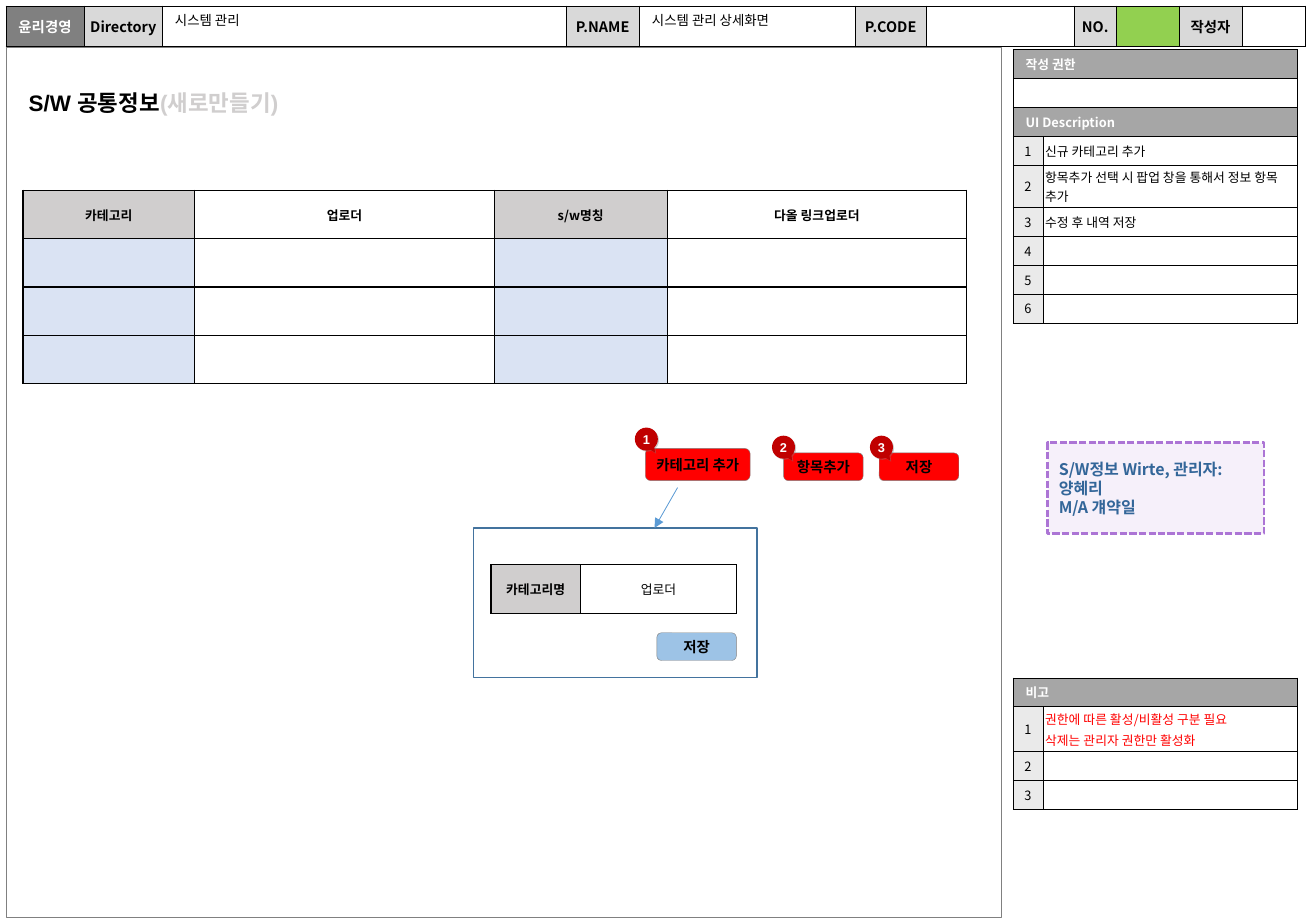
from lxml.etree import SubElement
from pptx import Presentation
from pptx.dml.color import RGBColor
from pptx.enum.dml import MSO_LINE_DASH_STYLE as Dash
from pptx.enum.shapes import MSO_CONNECTOR, MSO_SHAPE as Shape
from pptx.enum.text import MSO_ANCHOR as Anchor, MSO_AUTO_SIZE as AutoSize, PP_ALIGN as Align
from pptx.oxml import parse_xml
from pptx.oxml.ns import nsdecls, qn
from pptx.util import Inches, Pt

BLACK = RGBColor(0x00, 0x00, 0x00)
WHITE = RGBColor(0xFF, 0xFF, 0xFF)
GRAY = RGBColor(0x80, 0x80, 0x80)
BAND_GRAY = RGBColor(0xA6, 0xA6, 0xA6)
LABEL_GRAY = RGBColor(0xD9, 0xD9, 0xD9)
NUMBER_GRAY = RGBColor(0xEA, 0xEA, 0xEA)
HEAD_GRAY = RGBColor(0xD0, 0xCE, 0xCE)
GREEN = RGBColor(0x92, 0xD0, 0x50)
PALE_BLUE = RGBColor(0xDA, 0xE3, 0xF3)
BUTTON_BLUE = RGBColor(0x9D, 0xC3, 0xE6)
POPUP_BLUE = RGBColor(0x43, 0x73, 0x9E)
ARROW_BLUE = RGBColor(0x5B, 0x9B, 0xD5)
NOTE_BLUE = RGBColor(0x33, 0x66, 0x99)
PURPLE = RGBColor(0xAC, 0x75, 0xD5)
RED = RGBColor(0xFF, 0x00, 0x00)
DARK_RED = RGBColor(0xC0, 0x00, 0x00)

KOREAN, LATIN = "Noto Sans CJK KR", "Arial"
WIDTH, HEIGHT = 11.42, 7.99
ROW, SIDE_ROW = 0.42, 0.25
SIDE_LEFT, SIDE_COLUMNS = 8.79, [0.26, 2.21]
FORM_LEFT, FORM_TOP, FORM_COLUMNS = 0.2, 1.65, [1.49, 2.6, 1.5, 2.6]

HEADER = [
    ("윤리경영", 0.68, GRAY), ("Directory", 0.68, LABEL_GRAY), ("", 3.5, None),
    ("P.NAME", 0.64, LABEL_GRAY), ("", 1.87, None), ("P.CODE", 0.62, LABEL_GRAY),
    ("", 1.28, None), ("NO.", 0.37, LABEL_GRAY), ("", 0.54, GREEN),
    ("작성자", 0.55, LABEL_GRAY), ("", 0.55, None),
]
HEADER_VALUES = {2: "시스템 관리", 4: "시스템 관리 상세화면"}
TITLE = [[("S/W 공통정보", BLACK), ("(새로만들기)", HEAD_GRAY)]]
FORM_HEAD = ["카테고리", "업로더", "s/w명칭", "다올 링크업로더"]
DESCRIPTION = [
    ("작성 권한",), ("",), ("UI Description",),
    ("1", "신규 카테고리 추가"),
    ("2", "항목추가 선택 시 팝업 창을 통해서 정보 항목 추가"),
    ("3", "수정 후 내역 저장"), ("4", ""), ("5", ""), ("6", ""),
]
REMARKS = [
    ("비고",),
    ("1", "권한에 따른 활성/비활성 구분 필요\n삭제는 관리자 권한만 활성화"),
    ("2", ""), ("3", ""),
]
MEMO = "S/W정보 Wirte, 관리자: 양혜리\nM/A 걔약일"
BUTTONS = [
    ("항목추가", (6.8, 3.93, 0.69, 0.24), RED),
    ("저장", (7.63, 3.93, 0.69, 0.24), RED),
    ("카테고리 추가", (5.6, 3.89, 0.91, 0.28), RED),
    ("저장", (5.7, 5.49, 0.69, 0.24), BUTTON_BLUE),
]
BADGES = [("1", 5.51, 3.71), ("2", 6.7, 3.78), ("3", 7.55, 3.78)]


def add_text(target, text, size=8, color=BLACK, bold=True, font=KOREAN, align=Align.CENTER,
             margins=(0.1, 0.05, 0.1, 0.05), wrap=True, spacing=None, before=0):
    """Write lines, or lists of (text, color) runs, into a shape or a table cell."""
    frame = target.text_frame
    box = target if hasattr(target, "margin_left") else frame
    box.margin_left, box.margin_top, box.margin_right, box.margin_bottom = map(Inches, margins)
    box.vertical_anchor = Anchor.MIDDLE
    frame.word_wrap = wrap
    lines = text.split("\n") if isinstance(text, str) else text
    for index, line in enumerate(lines):
        paragraph = frame.add_paragraph() if index else frame.paragraphs[0]
        paragraph.alignment = align
        if spacing:
            paragraph.line_spacing = spacing
        if index and before:
            paragraph.space_before = Pt(before)
        for words, run_color in [(line, color)] if isinstance(line, str) else line:
            if not words:
                SubElement(paragraph._p, qn("a:endParaRPr"), sz=str(size * 100))
                continue
            run = paragraph.add_run()
            run.text = words
            run.font.name, run.font.size, run.font.bold = font, Pt(size), bold
            run.font.color.rgb = run_color
            SubElement(run._r.get_or_add_rPr(), qn("a:ea"), typeface=KOREAN)


def paint(cell, fill, border):
    """Give a cell its fill and four black borders."""
    if fill is None:
        cell.fill.background()
    else:
        cell.fill.solid()
        cell.fill.fore_color.rgb = fill
    properties = cell._tc.get_or_add_tcPr()
    for index, side in enumerate("LRTB"):
        properties.insert(index, parse_xml(
            f'<a:ln{side} {nsdecls("a")} w="{Pt(border)}"><a:solidFill>'
            f'<a:srgbClr val="{BLACK}"/></a:solidFill></a:ln{side}>'))


def add_grid(slide, left, top, columns, rows, fills, border=1):
    """Add a plain table whose fills are listed row by row."""
    table = slide.shapes.add_table(len(rows), len(columns), Inches(left), Inches(top),
                                   Inches(sum(columns)), Inches(sum(rows))).table
    table.first_row = table.horz_banding = False
    for column, width in zip(table.columns, columns):
        column.width = Inches(width)
    for row, height, row_fills in zip(table.rows, rows, fills):
        row.height = Inches(height)
        for cell, fill in zip(row.cells, row_fills):
            paint(cell, fill, border)
    return table


def add_box(slide, kind, place, fill=None, line=None, width=0.25):
    """Add a preset shape without a shadow."""
    shape = slide.shapes.add_shape(kind, *map(Inches, place))
    shape.shadow.inherit = False
    for part, color in ((shape.fill, fill), (shape.line.fill, line)):
        if color is None:
            part.background()
        else:
            part.solid()
            part.fore_color.rgb = color
    if line is not None:
        shape.line.width = Pt(width)
    return shape


def add_side_table(slide, top, entries, tall_row, tall_height, color=BLACK):
    """Add a numbered side table with merged heading bands."""
    rows = [tall_height if index == tall_row else SIDE_ROW for index in range(len(entries))]
    fills = [[BAND_GRAY if entry[0] else WHITE] * 2 if len(entry) == 1
             else [NUMBER_GRAY, WHITE] for entry in entries]
    table = add_grid(slide, SIDE_LEFT, top, SIDE_COLUMNS, rows, fills, 0.25)
    for index, entry in enumerate(entries):
        first, second = table.cell(index, 0), table.cell(index, 1)
        if len(entry) == 1:
            first.merge(second)
            add_text(first, entry[0], color=WHITE, align=Align.LEFT,
                     margins=(0.11, 0.02, 0.02, 0.02))
        else:
            add_text(first, entry[0], bold=False, margins=[0.02] * 4)
            add_text(second, entry[1], color=color, bold=False, align=Align.LEFT,
                     margins=[0.02] * 4, before=1.6)


def add_header(slide):
    """Add the header strip and its two values."""
    names, columns, fills = zip(*HEADER)
    table = add_grid(slide, 0.05, 0.05, columns, [0.35], [fills], 0.25)
    for index, name in enumerate(names):
        add_text(table.cell(0, index), name, size=9, color=BLACK if index else WHITE,
                 margins=(0, 0.08, 0, 0.08))
    for index, value in HEADER_VALUES.items():
        left = 0.05 + sum(columns[:index])
        box = slide.shapes.add_textbox(*map(Inches, (left + 0.01, 0.03, columns[index], 0.31)))
        add_text(box, value, size=8.4, bold=False, font=LATIN, align=Align.LEFT, spacing=0.9)


def add_badge(slide, number, left, top):
    """Add a round numbered callout with a small shadow."""
    badge = add_box(slide, Shape.OVAL_CALLOUT, (left, top, 0.2, 0.2), DARK_RED)
    badge.adjustments[0], badge.adjustments[1] = 0.376, 0.586
    effects = badge._element.spPr.find(qn("a:effectLst"))
    shadow = SubElement(effects, qn("a:outerShdw"), dist=str(Pt(1)), dir="2700000")
    color = SubElement(shadow, qn("a:srgbClr"), val=str(GRAY))
    SubElement(color, qn("a:alpha"), val="40000")
    add_text(badge, number, color=WHITE, font=LATIN, margins=[0] * 4, wrap=False)


def main():
    """Build the slide and save it."""
    presentation = Presentation()
    presentation.slide_width, presentation.slide_height = Inches(WIDTH), Inches(HEIGHT)
    slide = presentation.slides.add_slide(presentation.slide_layouts[6])
    add_box(slide, Shape.RECTANGLE, (0.05, 0.41, 8.64, 7.55), line=GRAY)
    add_header(slide)
    add_grid(slide, FORM_LEFT, FORM_TOP + ROW, FORM_COLUMNS, [ROW] * 3,
             [[PALE_BLUE, None] * 2] * 3)
    form_head = add_grid(slide, FORM_LEFT, FORM_TOP, FORM_COLUMNS, [ROW], [[HEAD_GRAY, None] * 2])
    for index, name in enumerate(FORM_HEAD):
        add_text(form_head.cell(0, index), name)
    add_side_table(slide, 0.43, DESCRIPTION, 4, 0.37)
    add_side_table(slide, 5.88, REMARKS, 1, 0.39, RED)
    title = slide.shapes.add_textbox(*map(Inches, (0.15, 0.72, 2.72, 0.34)))
    add_text(title, TITLE, size=14, font=LATIN, align=Align.LEFT)
    title.text_frame.auto_size = AutoSize.SHAPE_TO_FIT_TEXT
    memo = add_box(slide, Shape.RECTANGLE, (9.09, 3.84, 1.88, 0.79), PURPLE, PURPLE, 1.5)
    memo.line.dash_style = Dash.SQUARE_DOT
    SubElement(memo._element.spPr.find(qn("a:solidFill"))[0], qn("a:alpha"), val="10000")
    add_text(memo, MEMO, size=10, color=NOTE_BLUE, align=Align.LEFT)
    add_box(slide, Shape.RECTANGLE, (4.11, 4.58, 2.46, 1.3), line=POPUP_BLUE, width=1)
    popup_table = add_grid(slide, 4.26, 4.9, [0.78, 1.35], [ROW], [[HEAD_GRAY, None]])
    add_text(popup_table.cell(0, 0), "카테고리명")
    add_text(popup_table.cell(0, 1), "업로더", bold=False)
    for label, place, fill in BUTTONS:
        add_text(add_box(slide, Shape.ROUNDED_RECTANGLE, place, fill, GRAY), label,
                 size=9, wrap=False)
    arrow = slide.shapes.add_connector(MSO_CONNECTOR.STRAIGHT,
                                       *map(Inches, (5.88, 4.23, 5.68, 4.58)))
    arrow.line.color.rgb, arrow.line.width = ARROW_BLUE, Pt(0.5)
    SubElement(arrow.line._get_or_add_ln(), qn("a:tailEnd"), type="triangle")
    SubElement(arrow._element.spPr, qn("a:effectLst"))
    for number, left, top in BADGES:
        add_badge(slide, number, left, top)
    presentation.save("out.pptx")


if __name__ == "__main__":
    main()
